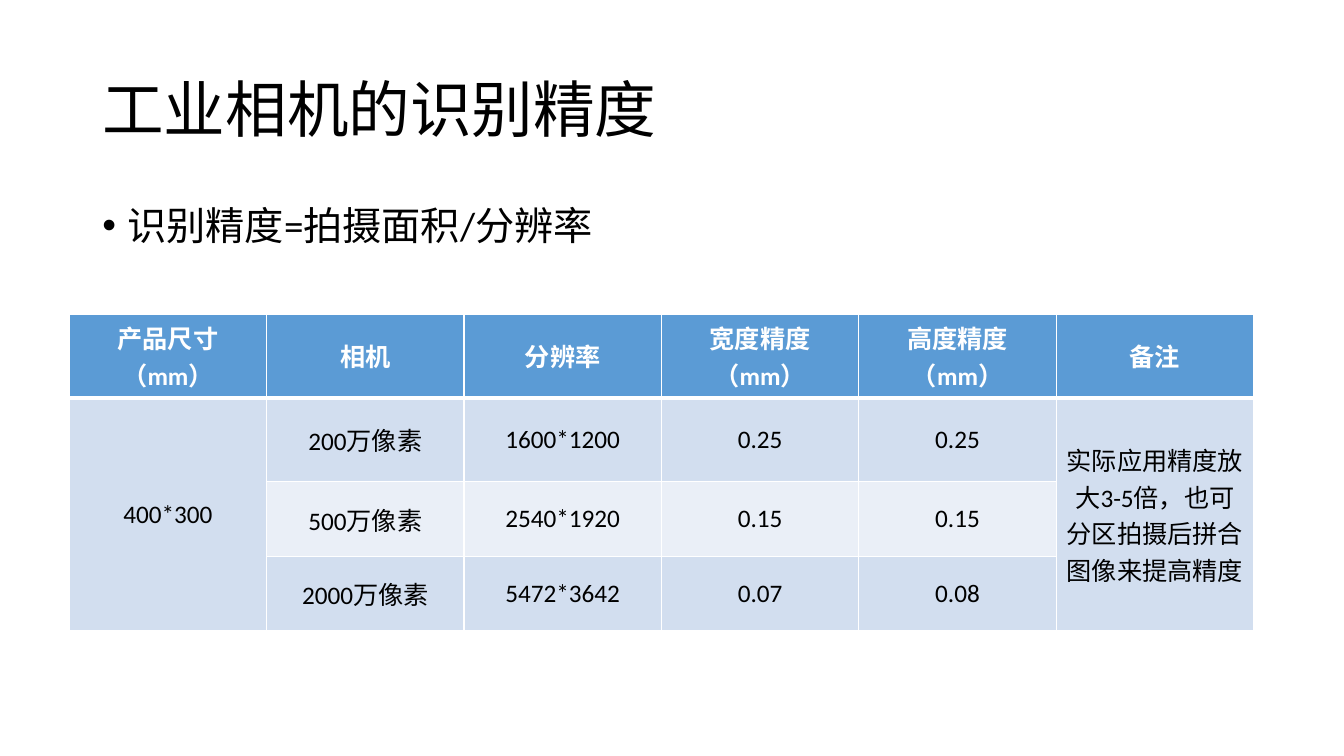
"""Build a slide on the recognition accuracy of industrial cameras."""
import dataclasses

import pptx
import pptx.dml.color
import pptx.enum.text
import pptx.oxml
import pptx.oxml.ns
import pptx.util

PX = 9525
ALIGN = pptx.enum.text.PP_ALIGN
ANCHOR = pptx.enum.text.MSO_ANCHOR


@dataclasses.dataclass(frozen=True)
class Theme:
    """Hold the font, type sizes in points and colours."""
    font: str = "Calibri"
    title: int = 44
    body: int = 28
    cell: int = 18
    ink: str = "000000"
    white: str = "FFFFFF"
    head: str = "5B9BD5"
    odd: str = "D2DEEF"
    even: str = "EAEFF7"


THEME = Theme()
HEADS = ["产品尺寸（mm）", "相机", "分辨率", "宽度精度（mm）", "高度精度（mm）", "备注"]
ROWS = [
    ["400*300", "200万像素", "1600*1200", "0.25", "0.25",
     "实际应用精度放大3-5倍，也可分区拍摄后拼合图像来提高精度"],
    ["", "500万像素", "2540*1920", "0.15", "0.15", ""],
    ["", "2000万像素", "5472*3642", "0.07", "0.08", ""],
]
HEIGHTS = [80, 80, 71, 71]
WIDTH = 188


def rgb(code):
    """Turn a hex code into a colour."""
    return pptx.dml.color.RGBColor.from_string(code)


def write(frame, text, size, color=THEME.ink, bold=False, align=ALIGN.LEFT, line=1.0, before=0):
    """Write one formatted paragraph and return it."""
    frame.word_wrap = True
    para = frame.paragraphs[0]
    para.alignment = align
    para.line_spacing = line
    para.space_before = pptx.util.Pt(before)
    run = para.add_run()
    run.text = text
    run.font.name = THEME.font
    run.font.size = pptx.util.Pt(size)
    run.font.bold = bold
    run.font.color.rgb = rgb(color)
    return para


def add_box(slide, text, left, top, width, height, anchor=ANCHOR.TOP, **form):
    """Add a text box and return its paragraph."""
    box = slide.shapes.add_textbox(left * PX, top * PX, width * PX, height * PX)
    box.text_frame.vertical_anchor = anchor
    return write(box.text_frame, text, **form)


def add_bullet(para, indent):
    """Give a paragraph a hanging round bullet."""
    props = para._p.get_or_add_pPr()
    props.set("marL", str(indent * PX))
    props.set("indent", str(-indent * PX))
    ns = pptx.oxml.ns.nsdecls("a")
    props.append(pptx.oxml.parse_xml(f'<a:buFont {ns} typeface="Arial"/>'))
    props.append(pptx.oxml.parse_xml(f'<a:buChar {ns} char="•"/>'))


def add_edges(cell, above, below):
    """Draw white cell borders with the given top and bottom points."""
    ns = pptx.oxml.ns.nsdecls("a")
    for side, points in zip("LRTB", (1, 1, above, below)):
        cell._tc.get_or_add_tcPr().append(pptx.oxml.parse_xml(
            f'<a:ln{side} {ns} w="{pptx.util.Pt(points)}"><a:solidFill>'
            f'<a:srgbClr val="{THEME.white}"/></a:solidFill></a:ln{side}>'))


def fill_cell(cell, text, row):
    """Style one cell by its row and write its text."""
    head = row == 0
    add_edges(cell, 3 if row == 1 else 1, 3 if head else 1)
    cell.fill.solid()
    cell.fill.fore_color.rgb = rgb(THEME.head if head else THEME.odd if row % 2 else THEME.even)
    cell.vertical_anchor = ANCHOR.MIDDLE
    if text:
        write(cell.text_frame, text, THEME.cell, align=ALIGN.CENTER, bold=head,
              color=THEME.white if head else THEME.ink)


def add_grid(slide, left, top):
    """Add the accuracy table with its merged outer columns."""
    data = [HEADS, *ROWS]
    size = WIDTH * len(HEADS) * PX, sum(HEIGHTS) * PX
    table = slide.shapes.add_table(len(data), len(HEADS), left * PX, top * PX, *size).table
    for column in table.columns:
        column.width = WIDTH * PX
    for row, texts in enumerate(data):
        table.rows[row].height = HEIGHTS[row] * PX
        for col, text in enumerate(texts):
            fill_cell(table.cell(row, col), text, row)
    for col in (0, len(HEADS) - 1):
        table.cell(1, col).merge(table.cell(len(ROWS), col))


def main():
    """Build and save the slide."""
    deck = pptx.Presentation()
    deck.slide_width, deck.slide_height = 1280 * PX, 720 * PX
    slide = deck.slides.add_slide(deck.slide_layouts[6])
    add_box(slide, "工业相机的识别精度", 88, 38, 1104, 139, anchor=ANCHOR.MIDDLE,
            size=THEME.title, line=0.9)
    rule = add_box(slide, "识别精度=拍摄面积/分辨率", 88, 192, 1104, 457,
                   size=THEME.body, line=0.9, before=10)
    add_bullet(rule, 24)
    add_grid(slide, 66, 299)
    deck.save("out.pptx")


if __name__ == "__main__":
    main()
